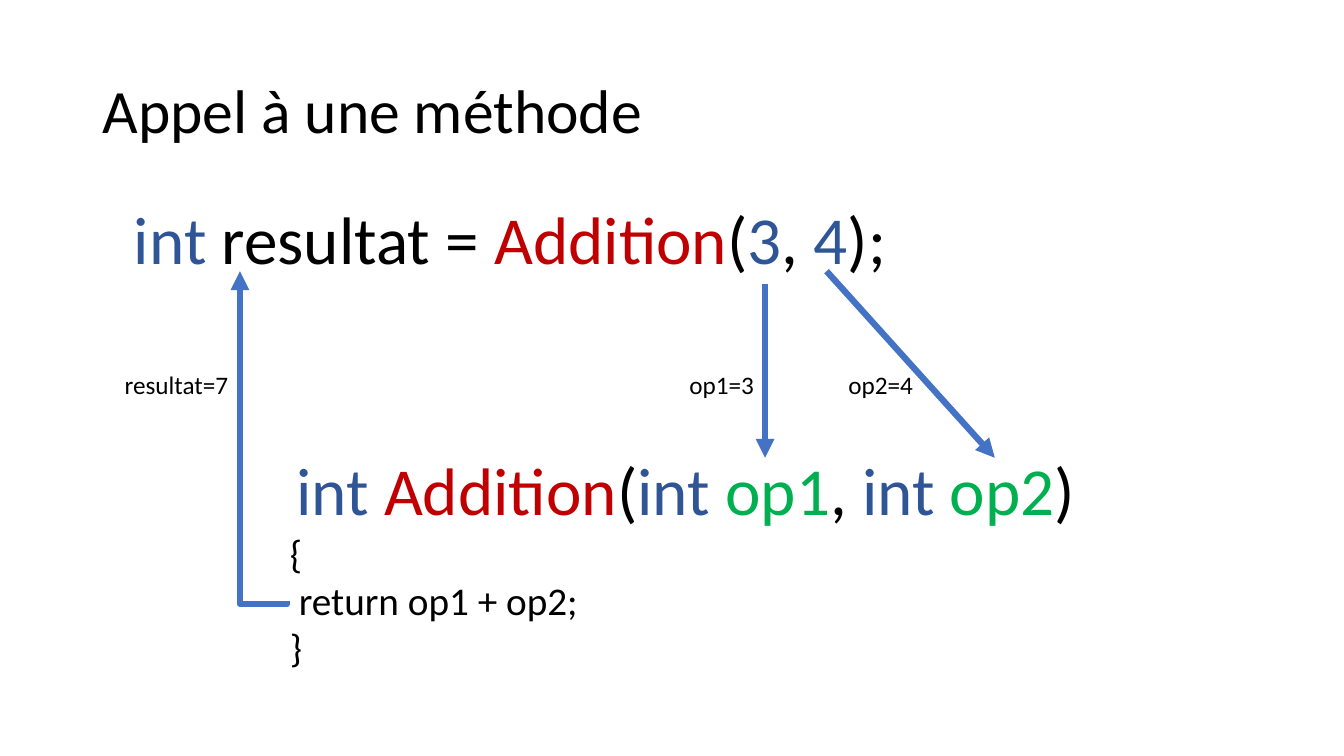
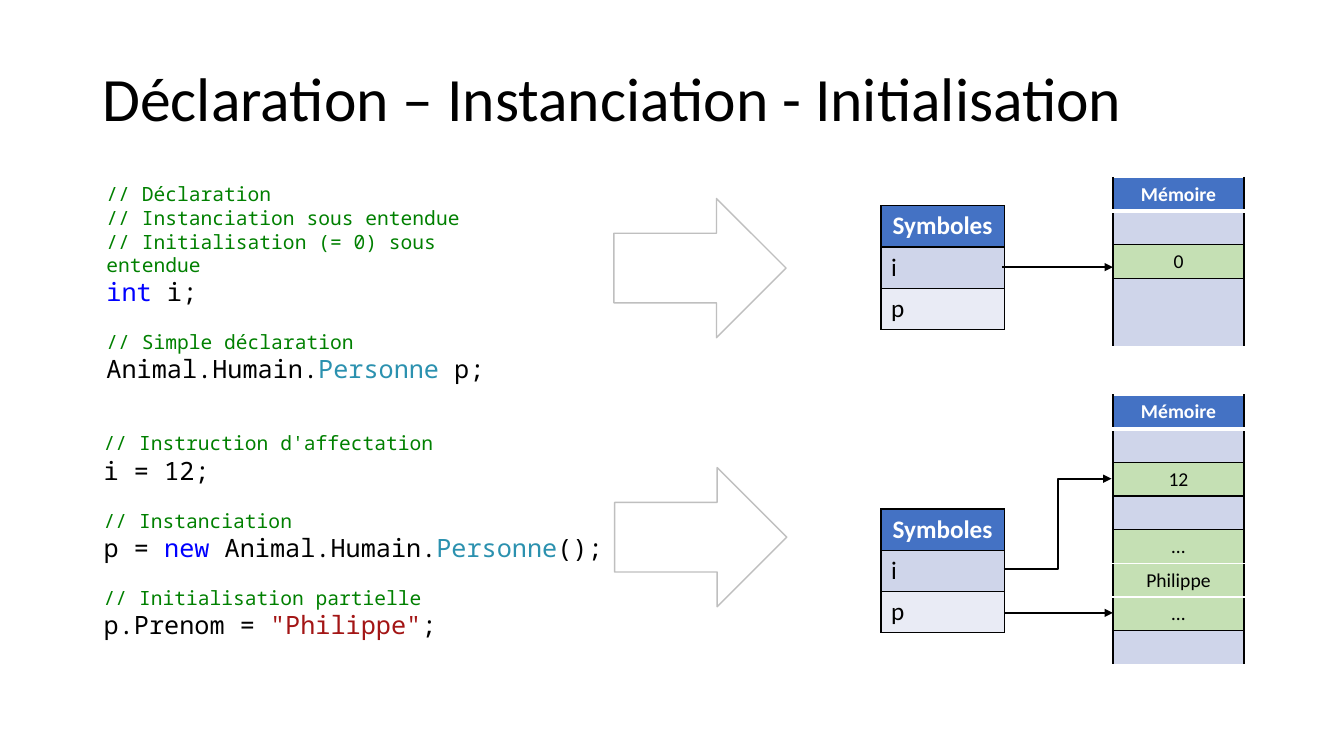
from lxml import etree
from pptx import Presentation
from pptx.dml.color import RGBColor
from pptx.enum.shapes import MSO_CONNECTOR, MSO_SHAPE
from pptx.enum.text import MSO_ANCHOR, MSO_AUTO_SIZE, PP_ALIGN
from pptx.oxml.ns import qn
from pptx.util import Pt

LINE, BENT = MSO_CONNECTOR.STRAIGHT, MSO_CONNECTOR.ELBOW
ARROW = MSO_SHAPE.RIGHT_ARROW
LEFT, CENTER = PP_ALIGN.LEFT, PP_ALIGN.CENTER
MIDDLE = MSO_ANCHOR.MIDDLE
FIT, FIXED = MSO_AUTO_SIZE.SHAPE_TO_FIT_TEXT, MSO_AUTO_SIZE.NONE
SANS, MONO = "Calibri", "Noto Sans Mono"
COLORS = {
    "black": "000000", "white": "FFFFFF", "gray": "BFBFBF",
    "type": "2F5597", "call": "C00000", "param": "00B050",
    "note": "008000", "key": "0000FF", "class": "2B91AF", "string": "A31515",
    "blue": "4472C4", "band": "CFD5EA", "pale": "E9EBF5", "used": "C5E0B4",
}
RGB = {name: RGBColor.from_string(code) for name, code in COLORS.items()}


def write(frame, lines, face=SANS):
    """Fill a frame with lines of (size, (text, colour), ...)."""
    for i, (size, *parts) in enumerate(lines):
        para = frame.add_paragraph() if i else frame.paragraphs[0]
        for text, color in parts:
            run = para.add_run()
            run.text = text
            run.font.name = face
            run.font.size = Pt(size)
            run.font.color.rgb = RGB[color]
        if not parts:
            etree.SubElement(para._p, qn("a:endParaRPr"), sz=str(size * 100))


def link(slide, kind, ends, color, width):
    """Draw a connector with an arrowhead at its end."""
    wire = slide.shapes.add_connector(kind, *[Pt(v) for v in ends])
    wire.line.color.rgb = RGB[color]
    wire.line.width = Pt(width)
    props = wire._element.spPr
    etree.SubElement(props.find(qn("a:ln")), qn("a:tailEnd"), type="triangle")
    etree.SubElement(props, qn("a:effectLst"))
    return wire


deck = Presentation()
deck.slide_width, deck.slide_height = Pt(960), Pt(540)

# Slides and titles
slides = []
for layout, height, text in (
    (1, 104, "Appel à une méthode"),
    (5, 87, "Déclaration – Instanciation - Initialisation"),
):
    slide = deck.slides.add_slide(deck.slide_layouts[layout])
    title = slide.shapes.title
    title.left, title.top, title.width, title.height = (
        Pt(66), Pt(29), Pt(828), Pt(height))
    frame = title.text_frame
    frame.text = text
    frame.auto_size = FIXED
    frame.vertical_anchor = MIDDLE
    para = frame.paragraphs[0]
    para.alignment, para.line_spacing = LEFT, 0.9
    font = para.runs[0].font
    font.name, font.size, font.color.rgb = SANS, Pt(44), RGB["black"]
    slides.append(slide)
method, memory = slides

# Method call
body = method.placeholders[1]
body.left, body.top, body.width, body.height = Pt(88.5), Pt(144), Pt(558), Pt(60)
frame = body.text_frame
frame.word_wrap, frame.auto_size = False, FIT
para = frame.paragraphs[0]
props = para._p.get_or_add_pPr()
props.set("marL", "0")
props.set("indent", "0")
etree.SubElement(props, qn("a:buNone"))
para.line_spacing, para.space_before = 0.9, Pt(0)
write(frame, [(48, ("int", "type"), (" resultat = ", "black"),
               ("Addition", "call"), ("(", "black"), ("3", "type"),
               (", ", "black"), ("4", "type"), (");", "black"))])

# Method definition, value labels and code listings
source = [
    (48, (" int ", "type"), ("Addition", "call"), ("(", "black"),
     ("int ", "type"), ("op1", "param"), (", ", "black"),
     ("int ", "type"), ("op2", "param"), (")", "black")),
    (28, (" {", "black")),
    (28, ("  return op1 + op2;", "black")),
    (28, (" }", "black")),
]
declare = [
    (14, ("// Déclaration", "note")),
    (14, ("// Instanciation sous entendue", "note")),
    (14, ("// Initialisation (= 0) sous entendue", "note")),
    (18, ("int", "key"), (" i;", "black")),
    (14,),
    (14, ("// Simple déclaration", "note")),
    (18, ("Animal.Humain.", "black"), ("Personne", "class"), (" p;", "black")),
]
assign = [
    (14, ("// Instruction d'affectation", "note")),
    (18, ("i = 12;", "black")),
    (14,),
    (14, ("// Instanciation", "note")),
    (18, ("p = ", "black"), ("new", "key"), (" Animal.Humain.", "black"),
     ("Personne", "class"), ("();", "black")),
    (14,),
    (14, ("// Initialisation partielle", "note")),
    (18, ("p.Prenom = ", "black"), ('"Philippe"', "string"), (";", "black")),
]
for slide, face, wrap, place, lines in (
    (method, SANS, False, (193.7, 316.8, 588, 167), source),
    (method, SANS, False, (599, 260.6, 61, 29), [(18, ("op2=4", "black"))]),
    (method, SANS, False, (485.3, 260.6, 61, 29), [(18, ("op1=3", "black"))]),
    (method, SANS, False, (82, 260.6, 89, 29), [(18, ("resultat=7", "black"))]),
    (memory, MONO, True, (69, 126.7, 304, 135), declare),
    (memory, MONO, True, (67, 304.6, 494, 158), assign),
):
    frame = slide.shapes.add_textbox(*[Pt(v) for v in place]).text_frame
    frame.word_wrap, frame.auto_size = wrap, FIT
    write(frame, lines, face)

# Arguments going in, result coming back
link(method, LINE, (546.5, 203, 546.5, 327), "blue", 4.5)
link(method, LINE, (590.4, 193.7, 710.6, 327), "blue", 4.5)
back = link(method, BENT, (70.6, 328.4, 306, 294.6), "blue", 4.5)
props = back._element.spPr
props.find(qn("a:xfrm")).set("rot", "16200000")
guides = props.find(qn("a:prstGeom")).get_or_add_avLst()
etree.SubElement(guides, qn("a:gd"), name="adj1", fmla="val -1000")

# Symbol and memory tables; edges run from the top line to the bottom line
EDGES = {"k": ("black", 1), "w": ("white", 1), "W": ("white", 3), "-": None}
symbols = [("Symboles", "blue"), ("i", "band"), ("p", "pale")]
header, free = ("Mémoire", "blue"), ("", "band")
before = [header, free, ("0", "used"), free, free]
after = [header, free, ("12", "used"), free, ("…", "used"),
         ("Philippe", "used"), ("…", "used"), free]
for x, y, width, step, size, edges, rows in (
    (629.3, 363.6, 88, 29.4, 18, "kkkk", symbols),
    (629.3, 147, 88, 29.4, 18, "kkkk", symbols),
    (795, 126.7, 93.6, 24, 14, "wWkk--", before),
    (795, 282.2, 93.6, 24, 14, "wWkkkwwkw", after),
):
    table = memory.shapes.add_table(
        len(rows), 1, Pt(x), Pt(y), Pt(width), Pt(step * len(rows))).table
    table.horz_banding = False
    for i, (text, fill) in enumerate(rows):
        table.rows[i].height = Pt(step)
        cell = table.cell(i, 0)
        props = cell._tc.get_or_add_tcPr()
        for side, edge in zip("LRTB", "kk" + edges[i:i + 2]):
            style = EDGES[edge]
            line = etree.SubElement(props, qn("a:ln" + side))
            if style:
                color, weight = style
                line.set("w", str(Pt(weight)))
                paint = etree.SubElement(line, qn("a:solidFill"))
                etree.SubElement(paint, qn("a:srgbClr"), val=COLORS[color])
            else:
                etree.SubElement(line, qn("a:noFill"))
        cell.fill.solid()
        cell.fill.fore_color.rgb = RGB[fill]
        ink = "black" if i else "white"
        write(cell.text_frame, [(size, (text, ink)) if text else (size,)])
        para = cell.text_frame.paragraphs[0]
        para.alignment = LEFT if i and rows is symbols else CENTER
        for run in para.runs:
            run.font.bold = i == 0

# From symbols to memory cells
for kind, ends in (
    (BENT, (717, 406.8, 794, 342)),
    (LINE, (717, 437.8, 795, 437.8)),
    (LINE, (715.7, 190.8, 795, 190.8)),
):
    link(memory, kind, ends, "black", 1.5)

# Block arrows
for x, y in ((438.5, 141.8), (439, 334)):
    block = memory.shapes.add_shape(ARROW, Pt(x), Pt(y), Pt(123), Pt(99.4))
    block.shadow.inherit = False
    block.fill.background()
    block.line.color.rgb = RGB["gray"]
    block.line.width = Pt(1)

deck.save("out.pptx")
